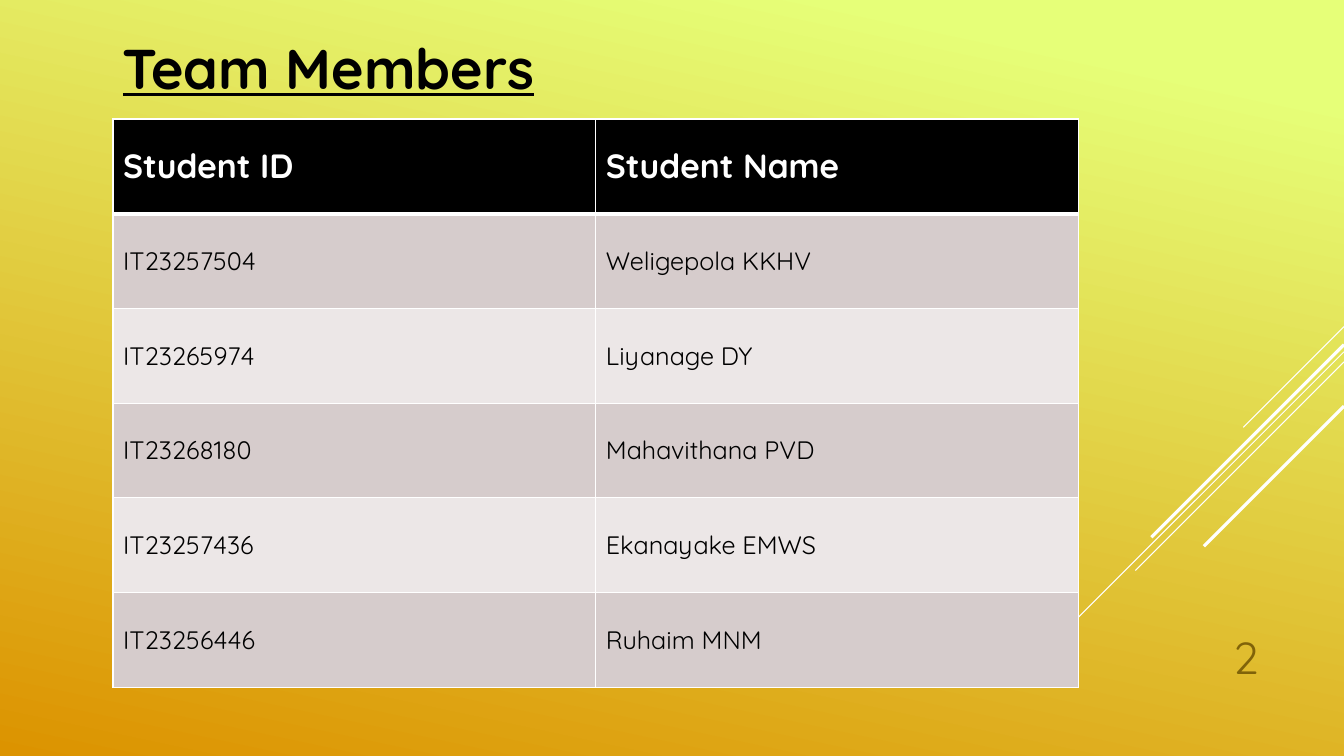
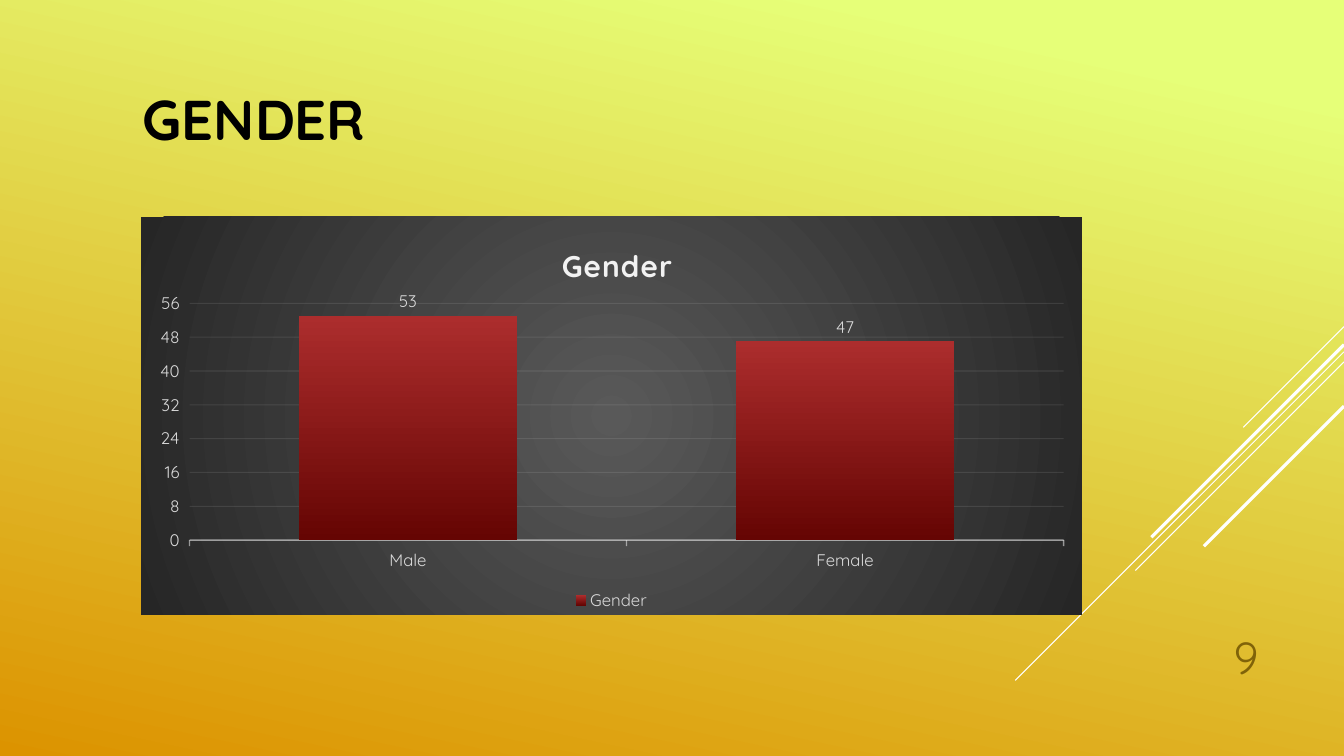
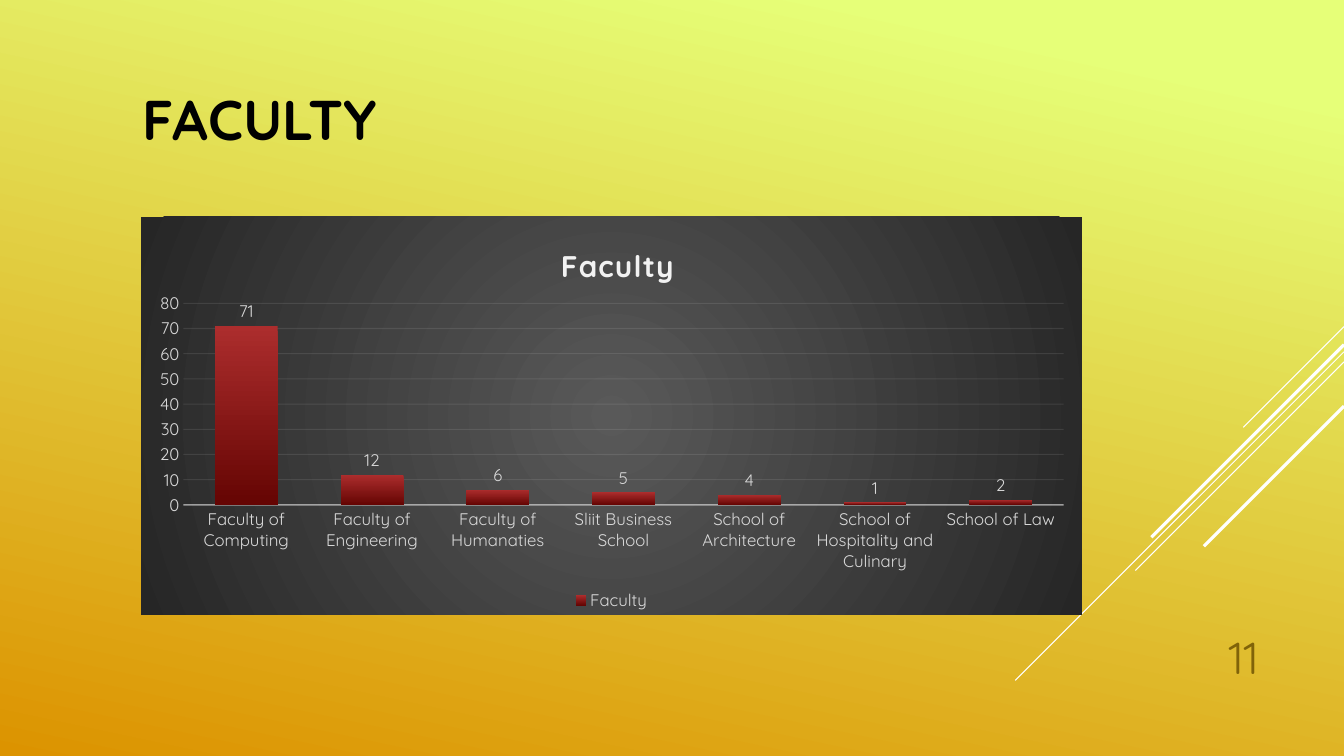
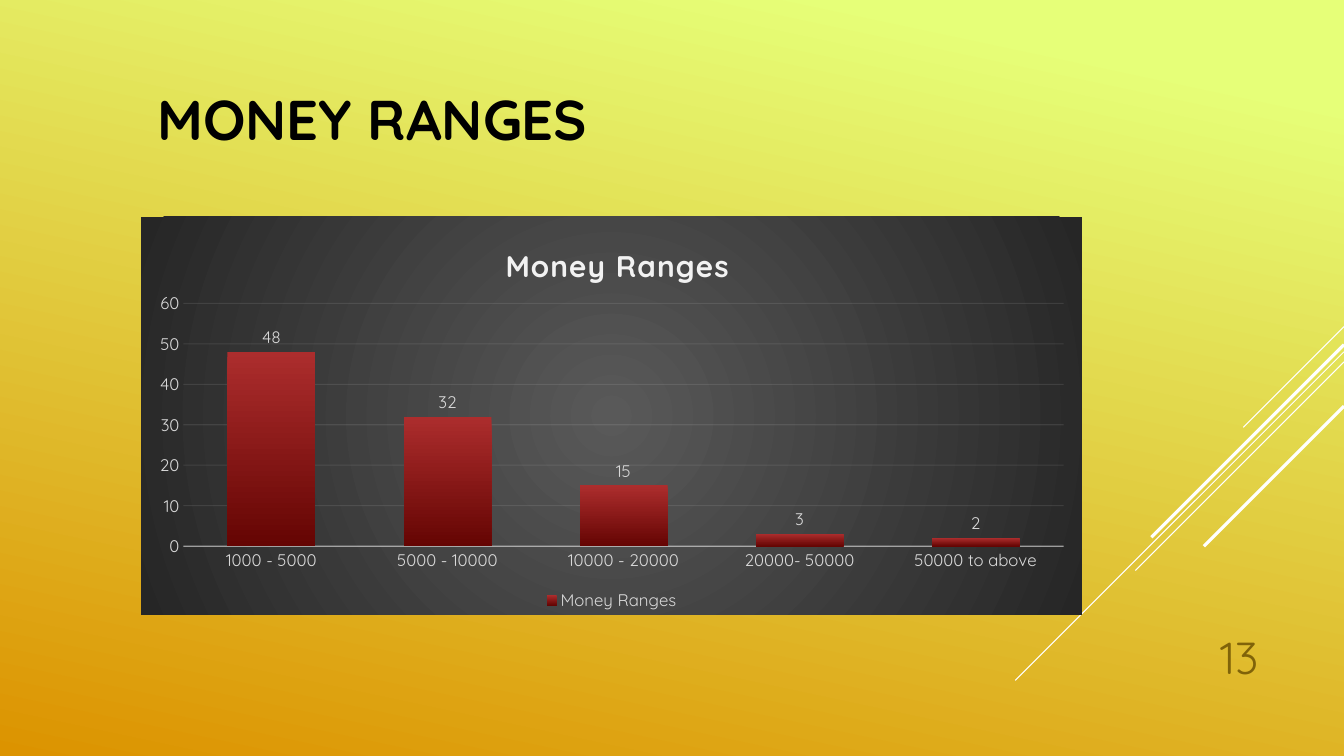
from pptx import Presentation
from pptx.chart.data import CategoryChartData
from pptx.dml.color import RGBColor
from pptx.enum.chart import XL_CHART_TYPE as ChartType
from pptx.enum.chart import XL_LABEL_POSITION as LabelPosition
from pptx.enum.chart import XL_LEGEND_POSITION as LegendPosition
from pptx.enum.chart import XL_TICK_MARK as TickMark
from pptx.enum.shapes import MSO_CONNECTOR as Connector
from pptx.enum.text import MSO_ANCHOR as Anchor
from pptx.enum.text import PP_ALIGN as Align
from pptx.oxml import parse_xml
from pptx.oxml.ns import nsdecls, qn
from pptx.util import Emu, Pt

# Shared look
SCALE = 9144  # EMU per px, 100 px to the inch
SLIDE_SIZE = (1333, 750)
FONT = "Quicksand"
BLACK, WHITE = "000000", "FFFFFF"
NUMBER_COLOR = "806309"
LABEL_COLOR, RULE_COLOR = "D9D9D9", "F2F2F2"
BACKDROP = [(10, "E6FF78"), (100, "DC9300")]
BAR_FILL = [(0, "AC2D2D"), (100, "650503")]
ROW_FILLS = ["D6CCCC", "ECE7E7"]
RAYS = [  # top on the right edge, run to the lower left, line width
    (324, 100, 0.75),
    (349, 326, 0.75),
    (359, 207, 0.75),
    (342, 191, 2.25),
    (403, 139, 2.25),
]
TITLE_FORMAT = {"size": Pt(40), "bold": True}
TITLE_BOX = (132, 35, 933, 165)
CHART_BOX = (140, 215, 933, 395)
PLOT_TOP, PLOT_RIGHT = 86, 915

TEAM = [
    ("Student ID", "Student Name"),
    ("IT23257504", "Weligepola KKHV"),
    ("IT23265974", "Liyanage DY"),
    ("IT23268180", "Mahavithana PVD"),
    ("IT23257436", "Ekanayake EMWS"),
    ("IT23256446", "Ruhaim MNM"),
]

CHART_SLIDES = [
    {
        "number": 9, "name": "Gender", "name_left": 412,
        "plot_left": 48, "plot_bottom": 321,
        "tick": TickMark.OUTSIDE,
        "scale": {"minimum_scale": 0, "maximum_scale": 56, "major_unit": 8},
        "values": {"Male": 53, "Female": 47},
    },
    {
        "number": 11, "name": "Faculty", "name_left": 411,
        "plot_left": 42, "plot_bottom": 286,
        "values": {
            "Faculty of Computing": 71,
            "Faculty of Engineering": 12,
            "Faculty of Humanaties": 6,
            "Sliit Business School": 5,
            "School of Architecture": 4,
            "School of Hospitality and Culinary": 1,
            "School of Law": 2,
        },
    },
    {
        "number": 13, "name": "Money Ranges", "name_left": 356,
        "plot_left": 42, "plot_bottom": 327, "title_indent": 14,
        "values": {
            "1000 - 5000": 48,
            "5000 - 10000": 32,
            "10000 - 20000": 15,
            "20000- 50000": 3,
            "50000 to above": 2,
        },
    },
]


def px(*lengths):
    return [Emu(length * SCALE) for length in lengths]


def rgb(color):
    return RGBColor.from_string(color)


def set_values(target, values):
    for name, value in values.items():
        setattr(target, name, value)


def style_font(font, color, **values):
    set_values(font, {"name": FONT, **values})
    font.color.rgb = rgb(color)


def style_line(line, color, width, alpha=None):
    line.color.rgb = rgb(color)
    line.width = Pt(width)
    if alpha is not None:
        tint = line._get_or_add_ln().find(".//" + qn("a:srgbClr"))
        tint.append(parse_xml(f'<a:alpha {nsdecls("a")} val="{alpha * 1000}"/>'))


def fill_gradient(fill, stops, clockwise_angle):
    fill.gradient()
    fill.gradient_angle = 360 - clockwise_angle
    for stop, (position, color) in zip(fill.gradient_stops, stops):
        stop.position = position / 100
        stop.color.rgb = rgb(color)


def add_text(page, text, box, color, format_values, anchor=Anchor.TOP,
             align=Align.LEFT, indent=0):
    frame = page.shapes.add_textbox(*px(*box)).text_frame
    set_values(frame, {"word_wrap": True, "vertical_anchor": anchor,
                       "margin_left": px(10 + indent)[0]})
    para = frame.paragraphs[0]
    para.alignment = align
    span = para.add_run()
    span.text = text
    style_font(span.font, color, **format_values)


def add_page(deck, number):
    page = deck.slides.add_slide(deck.slide_layouts[6])
    right = SLIDE_SIZE[0]
    for top, run, width in RAYS:
        ray = page.shapes.add_connector(
            Connector.STRAIGHT, *px(right, top, right - run, top + run))
        style_line(ray.line, WHITE, width)
        ray._element.spPr.append(parse_xml(f'<a:effectLst {nsdecls("a")}/>'))
    add_text(page, str(number), (1133, 610, 125, 73), NUMBER_COLOR,
             {"size": Pt(32)}, Anchor.BOTTOM, Align.RIGHT)
    return page


# Table
def add_borders(cell, bottom_width):
    properties = cell._tc.get_or_add_tcPr()
    widths = {"lnL": 1, "lnR": 1, "lnT": 1, "lnB": bottom_width}
    for index, (side, width) in enumerate(widths.items()):
        properties.insert(index, parse_xml(
            f'<a:{side} {nsdecls("a")} w="{Pt(width)}"><a:solidFill>'
            f'<a:srgbClr val="{WHITE}"/></a:solidFill></a:{side}>'))


def add_team_table(page):
    row_height, column_width = 94, 479
    frame = page.shapes.add_table(
        len(TEAM), 2, *px(112, 118, 2 * column_width, len(TEAM) * row_height))
    for row_index, entries in enumerate(TEAM):
        header = row_index == 0
        for column_index, text in enumerate(entries):
            cell = frame.table.cell(row_index, column_index)
            cell.vertical_anchor = Anchor.MIDDLE
            cell.fill.solid()
            cell.fill.fore_color.rgb = rgb(
                BLACK if header else ROW_FILLS[(row_index - 1) % 2])
            add_borders(cell, 3 if header or row_index == 0 else 1)
            span = cell.text_frame.paragraphs[0].add_run()
            span.text = text
            style_font(span.font, WHITE if header else BLACK,
                       size=Pt(24 if header else 18), bold=header)


# Charts
def place_part(part, index, left, top, size=None):
    """Pin a chart title or plot area, in px from the chart's corner."""
    old = part.find(qn("c:layout"))
    if old is not None:
        part.remove(old)
    width, height = CHART_BOX[2:]
    fractions = {"x": left / width, "y": top / height}
    if size:
        fractions.update(w=size[0] / width, h=size[1] / height)
    target = '<c:layoutTarget val="inner"/>' if size else ""
    lengths = "".join(f'<c:{key} val="{value:.4f}"/>'
                      for key, value in fractions.items())
    part.insert(index, parse_xml(
        f'<c:layout {nsdecls("c")}><c:manualLayout>{target}'
        f'<c:xMode val="edge"/><c:yMode val="edge"/>{lengths}'
        '</c:manualLayout></c:layout>'))


def fill_chart_area(chart):
    chart._chartSpace.chart.addnext(parse_xml(
        f'<c:spPr {nsdecls("c", "a")}><a:gradFill><a:gsLst>'
        '<a:gs pos="0"><a:srgbClr val="595959"/></a:gs>'
        '<a:gs pos="100000"><a:srgbClr val="262626"/></a:gs></a:gsLst>'
        '<a:path path="circle"><a:fillToRect l="50000" t="50000" r="50000" b="50000"/>'
        '</a:path></a:gradFill><a:ln><a:noFill/></a:ln></c:spPr>'))


def style_axes(chart, tick, scale):
    for axis in (chart.category_axis, chart.value_axis):
        axis.major_tick_mark = tick
        axis.minor_tick_mark = TickMark.NONE
        style_font(axis.tick_labels.font, LABEL_COLOR, size=Pt(12))
    style_line(chart.category_axis.format.line, RULE_COLOR, 1, 54)
    value_axis = chart.value_axis
    value_axis.format.line.fill.background()
    value_axis.has_major_gridlines = True
    style_line(value_axis.major_gridlines.format.line, RULE_COLOR, 0.75, 10)
    set_values(value_axis, scale)


def add_column_chart(page, content):
    name, values = content["name"], content["values"]
    data = CategoryChartData()
    data.categories = list(values)
    data.add_series(name, list(values.values()))
    chart = page.shapes.add_chart(
        ChartType.COLUMN_CLUSTERED, *px(*CHART_BOX), data).chart
    style_font(chart.font, WHITE, size=Pt(10))
    fill_chart_area(chart)

    # Title and legend
    chart.has_title = True
    span = chart.chart_title.text_frame.paragraphs[0].add_run()
    span.text = name
    style_font(span.font, RULE_COLOR, size=Pt(21.3), bold=True)
    span.font._element.set("spc", "100")
    place_part(chart.chart_title._element, 1, content["name_left"], 22)
    chart.has_legend = True
    set_values(chart.legend, {"position": LegendPosition.BOTTOM,
                              "include_in_layout": False})
    style_font(chart.legend.font, LABEL_COLOR, size=Pt(12))

    # Bars and their labels
    style_axes(chart, content.get("tick", TickMark.NONE),
               content.get("scale", {}))
    plot = chart.plots[0]
    set_values(plot, {"gap_width": 100, "overlap": -24,
                      "vary_by_categories": False, "has_data_labels": True})
    set_values(plot.data_labels, {"show_value": True,
                                  "position": LabelPosition.OUTSIDE_END})
    style_font(plot.data_labels.font, LABEL_COLOR, size=Pt(12))
    bars = plot.series[0]
    bars.invert_if_negative = False
    fill_gradient(bars.format.fill, BAR_FILL, 90)
    left = content["plot_left"]
    place_part(chart._chartSpace.chart.plotArea, 0, left, PLOT_TOP,
               (PLOT_RIGHT - left, content["plot_bottom"] - PLOT_TOP))


def main():
    deck = Presentation()
    deck.slide_width, deck.slide_height = px(*SLIDE_SIZE)
    fill_gradient(deck.slide_master.background.fill, BACKDROP, 102)

    # Team slide
    page = add_page(deck, 2)
    add_text(page, "Team Members", (112, 28, 1084, 77), BLACK,
             {**TITLE_FORMAT, "underline": True})
    add_team_table(page)

    # Survey slides
    for content in CHART_SLIDES:
        page = add_page(deck, content["number"])
        add_text(page, content["name"].upper(), TITLE_BOX, BLACK, TITLE_FORMAT,
                 Anchor.MIDDLE, indent=content.get("title_indent", 0))
        add_column_chart(page, content)

    deck.save("out.pptx")


if __name__ == "__main__":
    main()
